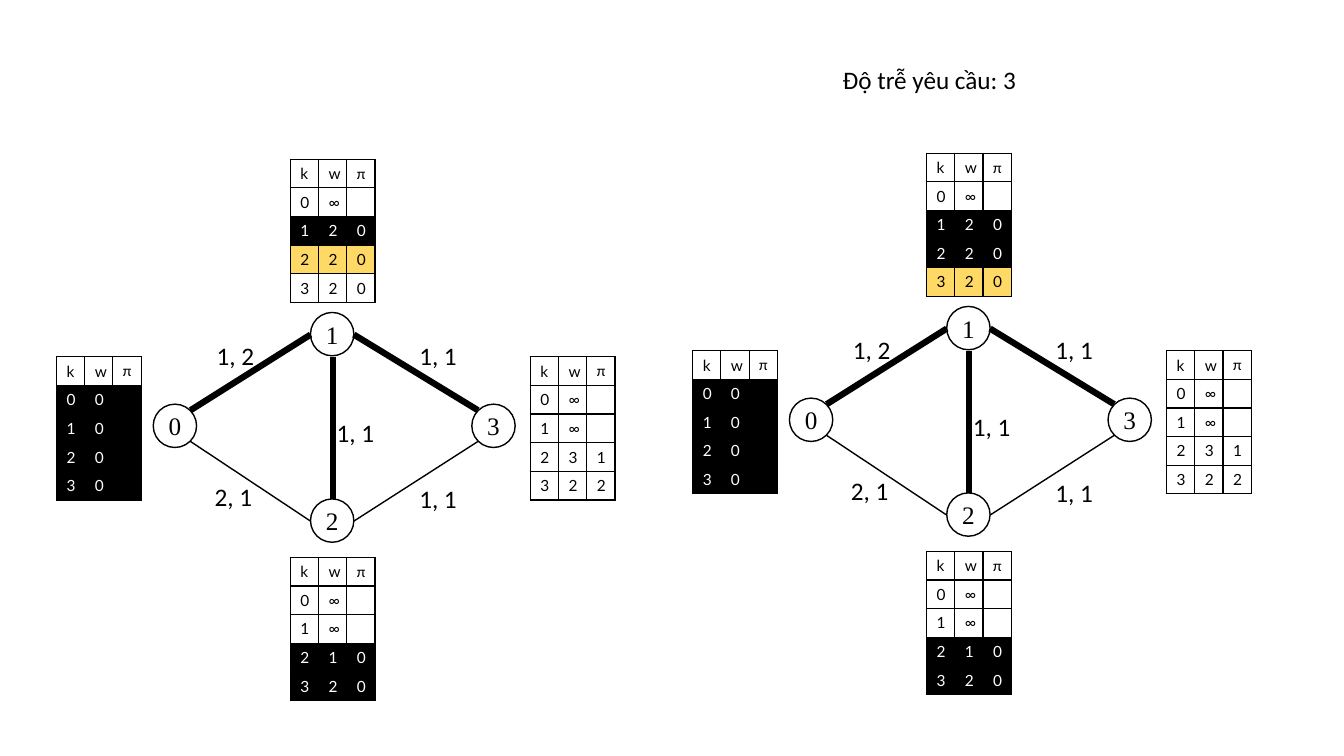
"""Draw two steps of a delay-constrained shortest-path search on a four-node graph."""
from dataclasses import dataclass

import lxml.etree
import pptx
import pptx.dml.color
import pptx.enum.shapes
import pptx.enum.text
import pptx.oxml.ns
import pptx.util

Inches = pptx.util.Inches
Pt = pptx.util.Pt
qn = pptx.oxml.ns.qn

COLORS = {"black": "000000", "white": "FFFFFF", "yellow": "FFD966"}
SHADES = {"w": ("white", "black"), "b": ("black", "white"), "y": ("yellow", "black")}
NODE = 0.43
COL_W = 0.28
ROW_H = 1.42 / 5
THICK, THIN = 4.5, 1


@dataclass
class Node:
    name: str
    x: float
    y: float


@dataclass
class Edge:
    start: tuple[float, float]
    end: tuple[float, float]
    width: float


@dataclass
class Label:
    text: str
    x: float
    y: float
    w: float = 0.58


@dataclass
class CostTable:
    x: float
    y: float
    rows: tuple[tuple[str, str], ...]
    shades: tuple[str, str]


NODES = [Node("0", 1.52, 4.01), Node("1", 3.08, 3.1),
         Node("2", 3.08, 4.95), Node("3", 4.68, 4.01)]
EDGES = [Edge((1.89, 4.07), (3.08, 3.32), THICK),
         Edge((1.89, 4.38), (3.08, 5.17), THIN),
         Edge((3.51, 3.32), (4.74, 4.07), THICK),
         Edge((3.51, 5.17), (4.74, 4.38), THIN),
         Edge((3.3, 3.54), (3.3, 4.95), THICK)]
LABELS = [Label("1, 2", 2.05, 3.33), Label("1, 1", 3.24, 4.09),
          Label("1, 1", 4.06, 4.75), Label("2, 1", 2.03, 4.73),
          Label("1, 1", 4.06, 3.33)]
TABLES = [
    CostTable(0.56, 3.54, (("0", ""),) * 4, ("bbbb", "bbbb")),
    CostTable(2.88, 1.58, (("∞", ""),) + (("2", "0"),) * 3, ("wbyw", "wbby")),
    CostTable(2.88, 5.53, (("∞", ""), ("∞", ""), ("1", "0"), ("2", "0")), ("wwbb", "wwbb")),
    CostTable(5.26, 3.54, (("∞", ""), ("∞", ""), ("3", "1"), ("2", "2")), ("wwww", "wwww")),
]
STEP_OFFSETS = [(0, 0), (6.31, -0.06)]
REQUIREMENT = Label("Độ trễ yêu cầu: 3", 8.26, 0.59, 1.94)


def rgb(name: str) -> pptx.dml.color.RGBColor:
    """Return the named colour."""
    return pptx.dml.color.RGBColor.from_string(COLORS[name])


def write(tf, text: str, *, size: float = 18, font: str = "Calibri",
          color: str = "black", align=None) -> None:
    """Put formatted text in the first paragraph of a frame."""
    p = tf.paragraphs[0]
    p.alignment = align
    if not text:
        p._p.get_or_add_endParaRPr().set("sz", str(size * 100))
        return
    r = p.add_run()
    r.text = text
    r.font.size = Pt(size)
    r.font.name = font
    r.font.color.rgb = rgb(color)


def draw_node(s, node: Node, dx: float, dy: float) -> None:
    """Draw a numbered circle."""
    sp = s.shapes.add_shape(pptx.enum.shapes.MSO_SHAPE.OVAL, Inches(node.x + dx),
                            Inches(node.y + dy), Inches(NODE), Inches(NODE))
    sp.shadow.inherit = False
    sp.fill.solid()
    sp.fill.fore_color.rgb = rgb("white")
    sp.line.color.rgb = rgb("black")
    sp.line.width = Pt(1)
    tf = sp.text_frame
    tf.margin_left = tf.margin_right = tf.margin_top = tf.margin_bottom = 0
    tf.word_wrap = False
    tf.vertical_anchor = pptx.enum.text.MSO_ANCHOR.MIDDLE
    write(tf, node.name, font="Times New Roman", align=pptx.enum.text.PP_ALIGN.CENTER)


def draw_edge(s, edge: Edge, dx: float, dy: float) -> None:
    """Draw a straight line between two nodes."""
    (x1, y1), (x2, y2) = edge.start, edge.end
    line = s.shapes.add_connector(
        pptx.enum.shapes.MSO_CONNECTOR.STRAIGHT, Inches(x1 + dx), Inches(y1 + dy),
        Inches(x2 + dx), Inches(y2 + dy))
    line.line.color.rgb = rgb("black")
    line.line.width = Pt(edge.width)
    lxml.etree.SubElement(line._element.spPr, qn("a:effectLst"))


def draw_label(s, label: Label, dx: float = 0, dy: float = 0) -> None:
    """Draw a one-line text box."""
    sp = s.shapes.add_textbox(Inches(label.x + dx), Inches(label.y + dy),
                              Inches(label.w), Inches(0.4))
    tf = sp.text_frame
    tf.word_wrap = False
    tf.auto_size = pptx.enum.text.MSO_AUTO_SIZE.SHAPE_TO_FIT_TEXT
    write(tf, label.text)


def add_borders(cell) -> None:
    """Give a cell thin black borders."""
    tc_pr = cell._tc.get_or_add_tcPr()
    for side in ("a:lnL", "a:lnR", "a:lnT", "a:lnB"):
        ln = lxml.etree.SubElement(tc_pr, qn(side), w=str(Pt(1)))
        fill = lxml.etree.SubElement(ln, qn("a:solidFill"))
        lxml.etree.SubElement(fill, qn("a:srgbClr"), val=COLORS["black"])


def draw_table(s, cost: CostTable, step: int, dx: float, dy: float) -> None:
    """Draw the cost table of a node with the row shades of one step."""
    rows = [("k", "w", "π")] + [(str(k), *row) for k, row in enumerate(cost.rows)]
    table = s.shapes.add_table(
        len(rows), 3, Inches(cost.x + dx), Inches(cost.y + dy),
        Inches(3 * COL_W), Inches(len(rows) * ROW_H)).table
    table.first_row = table.horz_banding = False
    for col in table.columns:
        col.width = Inches(COL_W)
    for i, (row, shade) in enumerate(zip(rows, "w" + cost.shades[step])):
        table.rows[i].height = Inches(ROW_H)
        back, ink = SHADES[shade]
        for j, text in enumerate(row):
            cell = table.cell(i, j)
            add_borders(cell)
            cell.fill.solid()
            cell.fill.fore_color.rgb = rgb(back)
            write(cell.text_frame, text, size=11, color=ink,
                  font="Calibri" if text == "π" else "Lato")


def main() -> None:
    """Build and save the slide."""
    prs = pptx.Presentation()
    prs.slide_width, prs.slide_height = Inches(13.33), Inches(7.5)
    s = prs.slides.add_slide(prs.slide_layouts[6])
    draw_label(s, REQUIREMENT)
    for step, (dx, dy) in enumerate(STEP_OFFSETS):
        for node in NODES:
            draw_node(s, node, dx, dy)
        for edge in EDGES:
            draw_edge(s, edge, dx, dy)
        for label in LABELS:
            draw_label(s, label, dx, dy)
        for cost in TABLES:
            draw_table(s, cost, step, dx, dy)
    prs.save("out.pptx")


if __name__ == "__main__":
    main()
